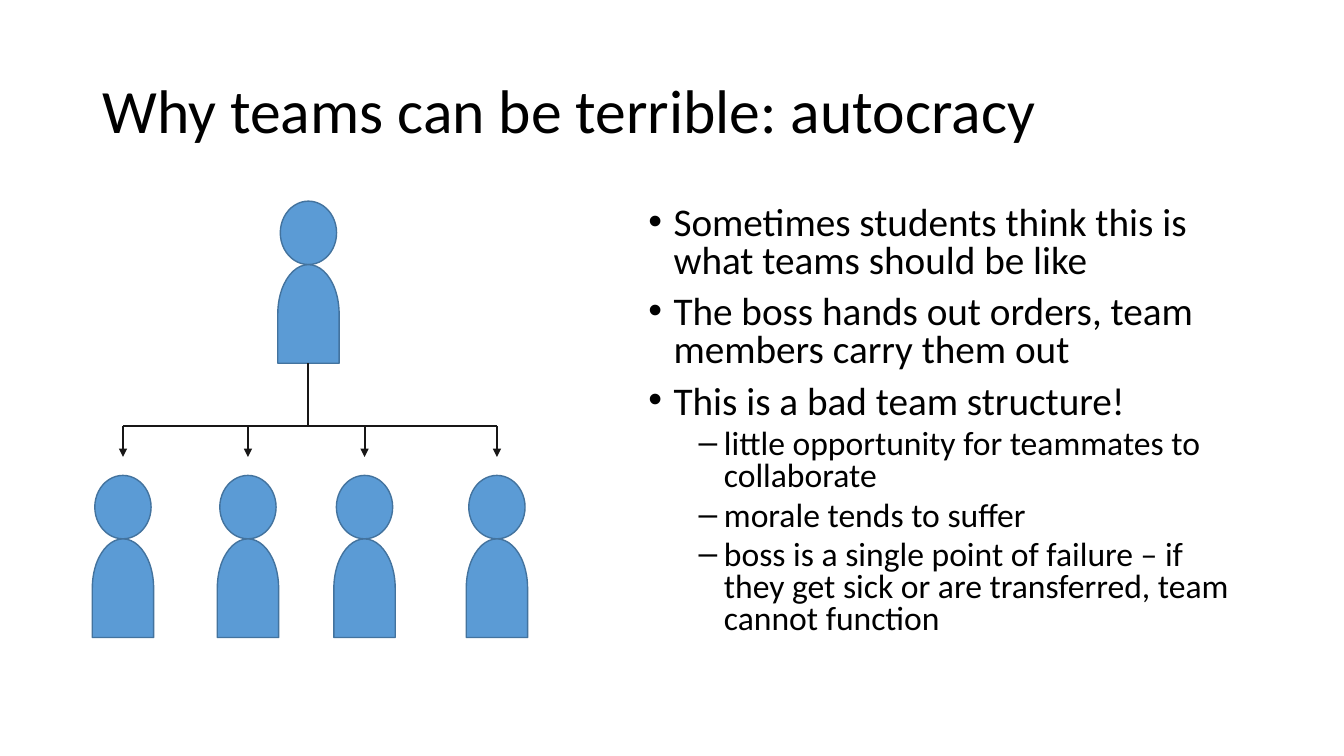
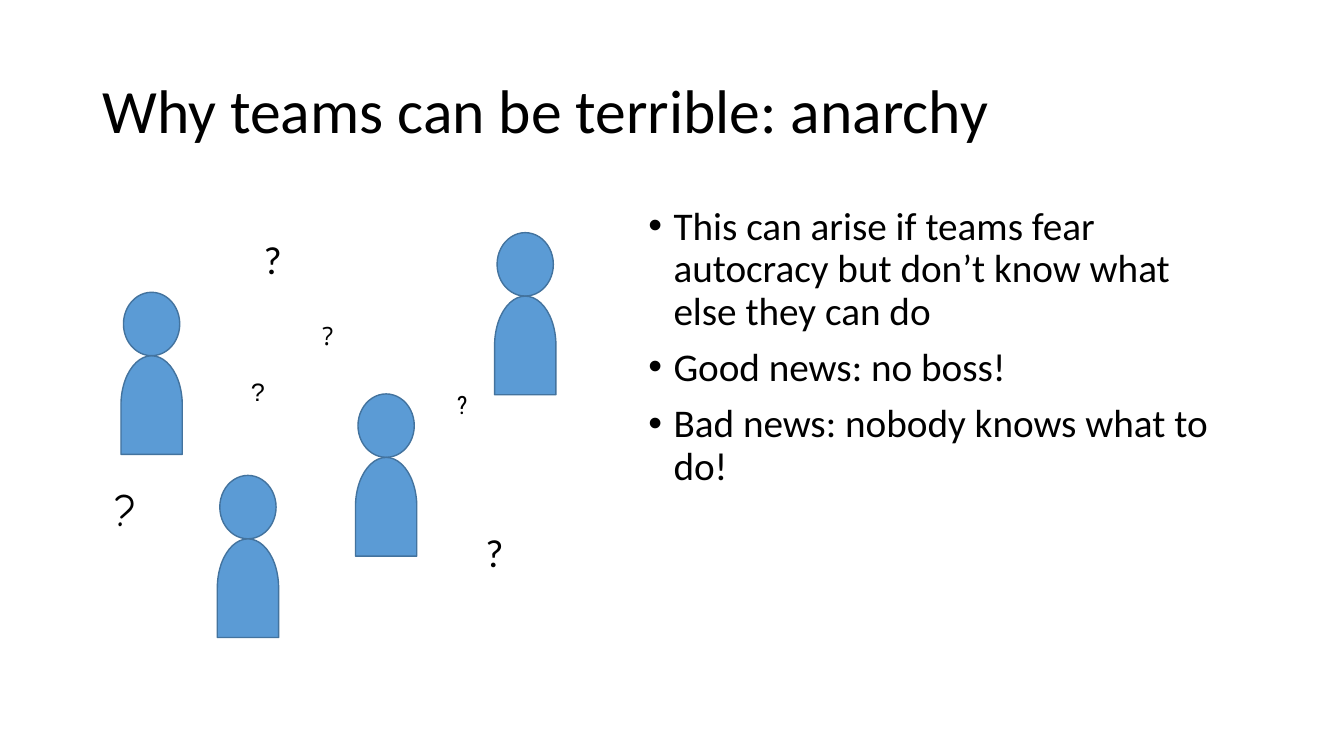
from lxml import etree
from pptx import Presentation
from pptx.dml.color import RGBColor
from pptx.enum.shapes import MSO_CONNECTOR, MSO_SHAPE
from pptx.enum.text import MSO_ANCHOR, MSO_AUTO_SIZE, PP_ALIGN
from pptx.oxml.ns import qn
from pptx.util import Inches, Pt

OVAL = MSO_SHAPE.OVAL
DELAY = MSO_SHAPE.FLOWCHART_DELAY
STRAIGHT = MSO_CONNECTOR.STRAIGHT
MIDDLE = MSO_ANCHOR.MIDDLE
LEFT = PP_ALIGN.LEFT
NO_FIT = MSO_AUTO_SIZE.NONE

BLACK = RGBColor(0x00, 0x00, 0x00)
INK = RGBColor(0x18, 0x17, 0x17)
BLUE = RGBColor(0x5B, 0x9B, 0xD5)
OUTLINE = RGBColor(0x43, 0x73, 0x9E)

COLUMNS, ROWS = 160, 90
TITLE_ONLY = 5
HEAD_WIDTH, HEAD_HEIGHT = 6.7, 7.55
TORSO_WIDTH, TORSO_HEIGHT = 7.3, 11.75
PERSON_HEIGHT = HEAD_HEIGHT + TORSO_HEIGHT


class TeamDeck:
    font = "Calibri"
    title_size = 44
    title_area = (11, 4.8, 138, 17.4)
    body_area = (76, 24, 73, 57.1)
    bullets = (("•", 28, 10, 0.25), ("–", 24, 5, 0.75))

    def __init__(self):
        self.deck = Presentation()
        self.deck.slide_width = Inches(13.33)
        self.deck.slide_height = Inches(7.5)
        self.slide = None

    def across(self, columns):
        return round(self.deck.slide_width * columns / COLUMNS)

    def down(self, rows):
        return round(self.deck.slide_height * rows / ROWS)

    def place(self, left, top, width, height):
        return self.across(left), self.down(top), self.across(width), self.down(height)

    def add_text(self, para, text, size, font=None):
        span = para.add_run()
        span.text = text
        span.font.size = Pt(size)
        span.font.name = font or self.font
        span.font.color.rgb = BLACK

    def page(self, title):
        self.slide = self.deck.slides.add_slide(self.deck.slide_layouts[TITLE_ONLY])
        box = self.slide.shapes.title
        box.left, box.top, box.width, box.height = self.place(*self.title_area)
        frame = box.text_frame
        frame.auto_size = NO_FIT
        frame.vertical_anchor = MIDDLE
        para = frame.paragraphs[0]
        para.alignment = LEFT
        para.line_spacing = 0.9
        self.add_text(para, title, self.title_size)

    def text_frame(self, area):
        frame = self.slide.shapes.add_textbox(*self.place(*area)).text_frame
        frame.word_wrap = True
        return frame

    def bullet_list(self, items, spacing):
        frame = self.text_frame(self.body_area)
        for index, (level, text) in enumerate(items):
            para = frame.add_paragraph() if index else frame.paragraphs[0]
            mark, size, before, margin = self.bullets[level]
            para.level = level
            para.line_spacing = spacing
            para.space_before = Pt(before)
            properties = para._p.get_or_add_pPr()
            properties.set("marL", str(Inches(margin)))
            properties.set("indent", str(-Inches(0.25)))
            colour = etree.SubElement(properties, qn("a:buClr"))
            etree.SubElement(colour, qn("a:srgbClr"), val=str(BLACK))
            etree.SubElement(properties, qn("a:buFont"), typeface="Arial")
            etree.SubElement(properties, qn("a:buChar"), char=mark)
            self.add_text(para, text, size)

    def label(self, text, area, size, font):
        self.add_text(self.text_frame(area).paragraphs[0], text, size, font)

    def person(self, center, top):
        group = self.slide.shapes.add_group_shape()
        head = group.shapes.add_shape(
            OVAL, *self.place(center - HEAD_WIDTH / 2, top, HEAD_WIDTH, HEAD_HEIGHT))
        torso_middle = top + HEAD_HEIGHT + TORSO_HEIGHT / 2
        torso = group.shapes.add_shape(
            DELAY, *self.place(center - TORSO_HEIGHT / 2, torso_middle - TORSO_WIDTH / 2,
                               TORSO_HEIGHT, TORSO_WIDTH))
        torso.rotation = 270
        for part in (head, torso):
            part.shadow.inherit = False
            part.fill.solid()
            part.fill.fore_color.rgb = BLUE
            part.line.color.rgb = OUTLINE
            part.line.width = Pt(1)

    def line(self, start, end, width=1.5, arrow=False):
        connector = self.slide.shapes.add_connector(
            STRAIGHT, self.across(start[0]), self.down(start[1]),
            self.across(end[0]), self.down(end[1]))
        connector.line.color.rgb = INK
        connector.line.width = Pt(width)
        if arrow:
            etree.SubElement(connector.line._get_or_add_ln(), qn("a:tailEnd"), type="triangle")
        etree.SubElement(connector._element.spPr, qn("a:effectLst"))


def autocracy(team):
    team.page("Why teams can be terrible: autocracy")
    team.bullet_list([
        (0, "Sometimes students think this is what teams should be like"),
        (0, "The boss hands out orders, team members carry them out"),
        (0, "This is a bad team structure!"),
        (1, "little opportunity for teammates to collaborate"),
        (1, "morale tends to suffer"),
        (1, "boss is a single point of failure – if they get sick or are transferred, "
            "team cannot function"),
    ], 0.8)
    boss, boss_top = 36.72, 23.95
    members, members_top = (14.64, 29.52, 43.4, 59.16), 56.6
    bar, arrow_tip = 50.7, 54.4
    team.person(boss, boss_top)
    for member in members:
        team.person(member, members_top)
        team.line((member, bar), (member, arrow_tip),
                  1.25 if member == members[0] else 1.5, arrow=True)
    team.line((boss, boss_top + PERSON_HEIGHT), (boss, bar))
    team.line((members[0], bar), (members[-1], bar))


def anarchy(team):
    team.page("Why teams can be terrible: anarchy")
    team.bullet_list([
        (0, "This can arise if teams fear autocracy but don’t know what else they can do"),
        (0, "Good news: no boss!"),
        (0, "Bad news: nobody knows what to do!"),
    ], 0.9)
    for center, top in ((18.05, 34.8), (29.52, 56.6), (45.97, 46.9), (62.53, 27.7)):
        team.person(center, top)
    questions = (
        ((30.2, 27.4, 3.4, 6.8), 28, "Calibri"),
        ((37.2, 37.6, 3.4, 4.8), 18, "Open Sans"),
        ((53.2, 45.8, 3.7, 4.8), 18, "Roboto Condensed"),
        ((12.5, 56.8, 3.4, 7.7), 32, "Comic Neue"),
        ((56.6, 62.3, 6.1, 6.8), 28, "Calibri"),
        ((28.7, 44.2, 3.4, 4.8), 18, "Arial"),
    )
    for area, size, font in questions:
        team.label("?", area, size, font)


team = TeamDeck()
autocracy(team)
anarchy(team)
team.deck.save("out.pptx")
